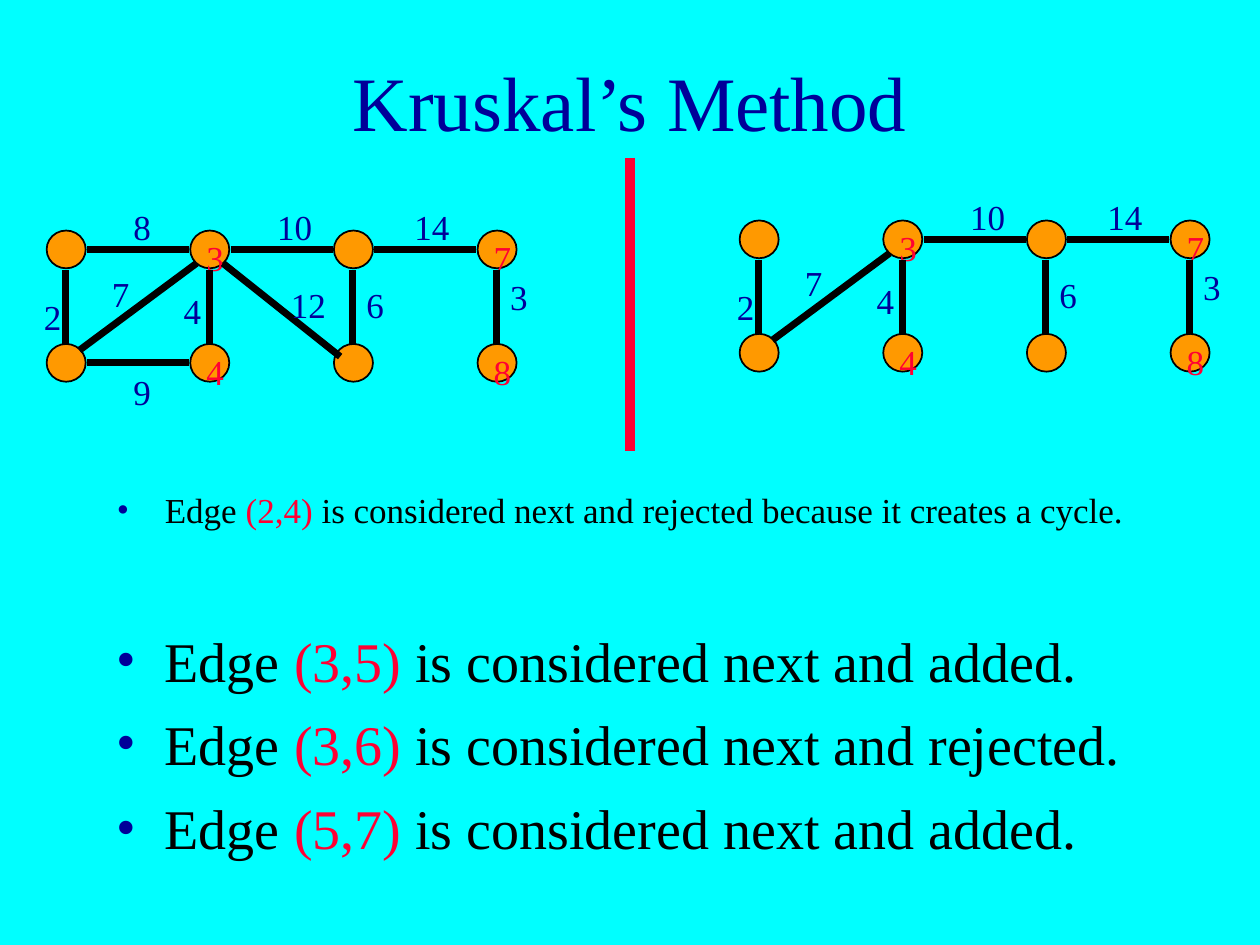
from pptx import Presentation
from pptx.dml.color import RGBColor
from pptx.enum.shapes import MSO_CONNECTOR, MSO_SHAPE
from pptx.enum.text import MSO_ANCHOR, MSO_AUTO_SIZE, PP_ALIGN
from pptx.oxml.ns import qn
from pptx.util import Inches, Pt
from lxml.etree import SubElement

CYAN = RGBColor(0x00, 0xFF, 0xFF)
NAVY = RGBColor(0x00, 0x00, 0x99)
RED = RGBColor(0xFF, 0x00, 0x33)
ORANGE = RGBColor(0xFF, 0x99, 0x00)
BLACK = RGBColor(0x00, 0x00, 0x00)
FONT = "Times New Roman"

TITLE = "Kruskal’s Method"
STEPS = [
    (3.83, 20, "(2,4)", " is considered next and rejected because it creates a cycle."),
    (4.92, 32, "(3,5)", " is considered next and added."),
    (5.58, 32, "(3,6)", " is considered next and rejected."),
    (6.25, 32, "(5,7)", " is considered next and added."),
]
NODE_LABELS = (3, 4, 7, 8)
EDGES = {
    (1, 2): (2, -0.12, 0.47, 0.22),
    (3, 4): (4, 0.99, 0.42, 0.22),
    (5, 6): (6, 2.44, 0.37, 0.22),
    (7, 8): (3, 3.58, 0.31, 0.22),
    (1, 3): (8, 0.59, -0.25, 0.22),
    (3, 5): (10, 1.73, -0.25, 0.49),
    (5, 7): (14, 2.82, -0.25, 0.54),
    (2, 4): (9, 0.59, 1.06, 0.22),
    (2, 3): (7, 0.42, 0.28, 0.22),
    (3, 6): (12, 1.84, 0.37, 0.54),
}
TREE = [(1, 2), (3, 4), (5, 6), (7, 8), (3, 5), (5, 7), (2, 3)]
GRAPHS = [(0.37, 1.83, list(EDGES)), (5.87, 1.75, TREE)]
COLUMN_STEP, ROW_STEP = 1.14, 0.9
NODE_WIDTH, NODE_HEIGHT = 0.31, 0.3
VERTICAL = ((0.15, 0.31), (0.15, 0))
HORIZONTAL = ((0.32, 0.15), (-0.01, 0.15))
DIAGONAL = {(2, 3): ((0.26, 0.05), (0.05, 0.26)), (3, 6): ((0.26, 0.26), (0.05, 0.1))}

presentation = Presentation()
presentation.slide_width, presentation.slide_height = Inches(10), Inches(7.5)
slide = presentation.slides.add_slide(presentation.slide_layouts[6])
slide.background.fill.solid()
slide.background.fill.fore_color.rgb = CYAN


def add_text(box, runs, size, space_before=0, **frame_format):
    text_box = slide.shapes.add_textbox(*map(Inches, box))
    frame = text_box.text_frame
    for name, value in {"word_wrap": True, **frame_format}.items():
        setattr(frame, name, value)
    paragraph = frame.paragraphs[0]
    paragraph.space_before = Pt(space_before)
    for text, color in runs:
        run = paragraph.add_run()
        run.text = text
        run.font.color.rgb = color
        for name, value in {"name": FONT, "size": Pt(size)}.items():
            setattr(run.font, name, value)
    return paragraph


def add_label(left, top, width, number, color):
    add_text((left, top, width, 0.43), [(str(number), color)], 20, 12.5,
             auto_size=MSO_AUTO_SIZE.SHAPE_TO_FIT_TEXT)


def add_line(start, end, color, width):
    line = slide.shapes.add_connector(
        MSO_CONNECTOR.STRAIGHT, *map(Inches, (*start, *end)))
    line.line.color.rgb = color
    line.line.width = Pt(width)
    SubElement(line._element.spPr, qn("a:effectLst"))


def add_node(left, top):
    node = slide.shapes.add_shape(
        MSO_SHAPE.OVAL, *map(Inches, (left, top, NODE_WIDTH, NODE_HEIGHT)))
    node.shadow.inherit = False
    node.fill.solid()
    node.fill.fore_color.rgb = ORANGE
    node.line.color.rgb = BLACK
    node.line.width = Pt(1)


def edge_offsets(edge):
    first, second = edge
    if edge in DIAGONAL:
        return DIAGONAL[edge]
    return HORIZONTAL if second - first == 2 else VERTICAL


def add_graph(left, top, edges):
    nodes = {
        number: (left + (number - 1) // 2 * COLUMN_STEP,
                 top + (number - 1) % 2 * ROW_STEP)
        for number in range(1, 9)
    }
    for number, (x, y) in nodes.items():
        add_node(x, y)
        if number in NODE_LABELS:
            add_label(x + 0.03, y, 0.2, number, RED)
    for edge in edges:
        ends = [(nodes[number][0] + dx, nodes[number][1] + dy)
                for number, (dx, dy) in zip(edge, edge_offsets(edge))]
        add_line(*ends, BLACK, 4)
    for edge in edges:
        weight, dx, dy, width = EDGES[edge]
        add_label(left + dx, top + dy, width, weight, NAVY)


def add_bullet(paragraph):
    properties = paragraph._p.get_or_add_pPr()
    properties.set("marL", str(Inches(0.38)))
    properties.set("indent", str(Inches(-0.38)))
    color = SubElement(properties, qn("a:buClr"))
    SubElement(color, qn("a:srgbClr"), val=str(NAVY))
    SubElement(properties, qn("a:buFont"), typeface=FONT)
    SubElement(properties, qn("a:buChar"), char="•")


title = add_text((0.75, 0.17, 8.5, 1.25), [(TITLE, NAVY)], 44,
                 vertical_anchor=MSO_ANCHOR.MIDDLE)
title.alignment = PP_ALIGN.CENTER

for graph in GRAPHS:
    add_graph(*graph)
add_line((5, 1.25), (5, 3.58), RED, 6)

for top, size, edge_name, outcome in STEPS:
    runs = [("Edge ", BLACK), (edge_name, RED), (outcome, BLACK)]
    add_bullet(add_text((0.83, top, 8.5, 0.75), runs, size, 8))

presentation.save("out.pptx")
